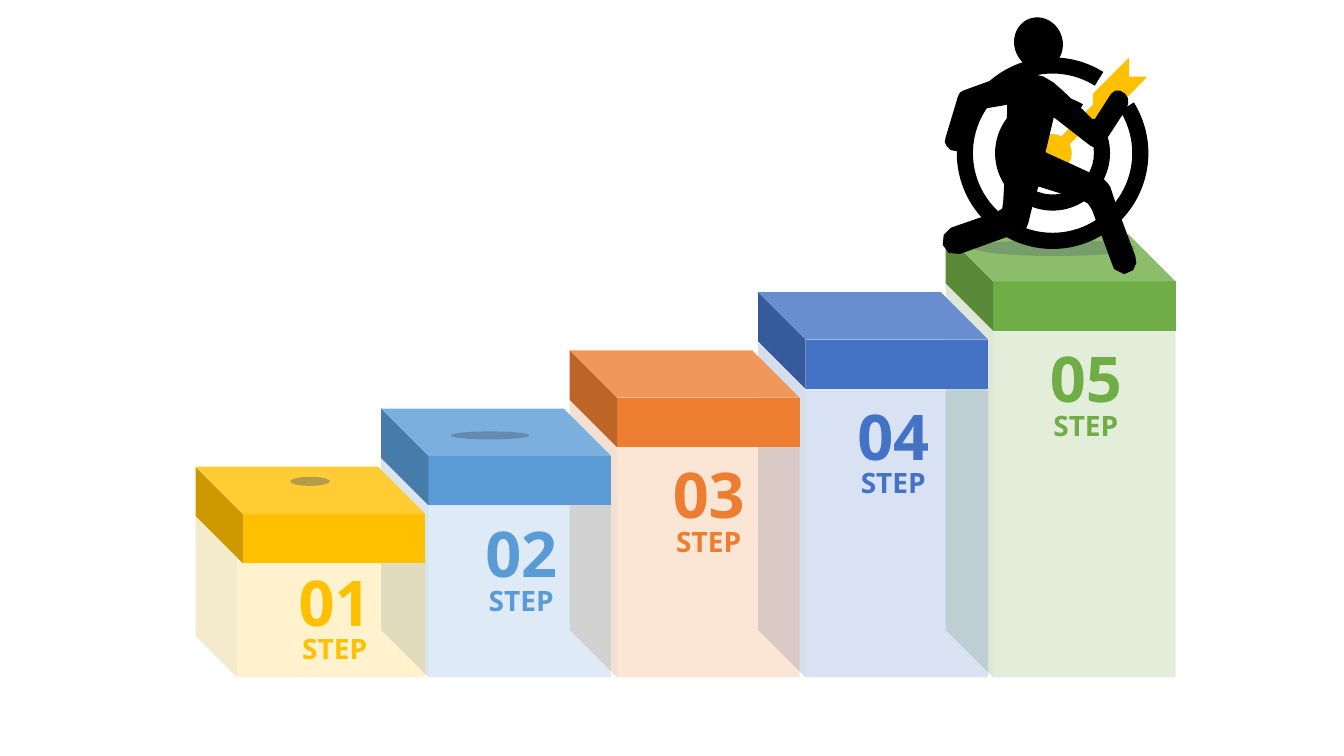
"""Build a slide of five rising steps with a runner and a target on top."""
from lxml.etree import SubElement
from pptx import Presentation
from pptx.dml.color import RGBColor
from pptx.enum.shapes import MSO_SHAPE
from pptx.enum.text import MSO_AUTO_SIZE, PP_ALIGN
from pptx.oxml.ns import qn
from pptx.util import Inches, Pt

COLORS = {
    "gold": "FFC000",
    "sky": "5B9BD5",
    "orange": "ED7D31",
    "blue": "4472C4",
    "green": "70AD47",
    "shade": "44546A",
    "black": "000000",
}
FONT = "Open Sans"
BLOCK_WIDTH = 2.28
CAP_HEIGHT = 0.96
CAP_DEPTH = 0.47
FIRST_CAP_TOP = 4.63
CAP_RISE = 0.577
COLUMN_BOTTOM = 6.72
TARGET_CENTER = (10.44, 1.52)

# color, block left, column top, column depth, label left, label top
STEPS = [
    ("gold", 1.94, 5.13, 0.41, 2.67, 5.54),
    ("sky", 3.78, 4.52, 0.47, 4.52, 5.06),
    ("orange", 5.65, 3.95, 0.47, 6.38, 4.47),
    ("blue", 7.52, 3.41, 0.47, 8.21, 3.89),
    ("green", 9.38, 2.82, 0.47, 10.12, 3.32),
]
DART = [
    (11.2, 0.57), (11.2, 0.76), (11.38, 0.76), (11.04, 1.11), (10.92, 1.12),
    (10.61, 1.43), (10.53, 1.35), (10.84, 1.04), (10.84, 0.93),
]
RUNNER = [
    (9.99, 1.04), (9.81, 1.07), (9.71, 1.09), (9.67, 1.1), (9.65, 1.14),
    (9.56, 1.44), (9.53, 1.49), (9.49, 1.5), (9.43, 1.49), (9.39, 1.45),
    (9.37, 1.41), (9.38, 1.36), (9.5, 0.96), (9.52, 0.92), (9.55, 0.9),
    (10.02, 0.73), (10.19, 0.72), (10.35, 0.76), (10.45, 0.82), (10.53, 0.89),
    (10.72, 1.07), (10.83, 1.18), (10.86, 1.18), (11.02, 0.93), (11.06, 0.9),
    (11.11, 0.9), (11.16, 0.93), (11.19, 0.98), (11.19, 1.03), (11.17, 1.08),
    (11.08, 1.22), (10.93, 1.45), (10.88, 1.47), (10.82, 1.45), (10.46, 1.17),
    (10.45, 1.17), (10.37, 1.51), (10.41, 1.53), (10.87, 1.74), (10.94, 1.77),
    (10.98, 1.81), (11.01, 1.85), (11.08, 2.06), (11.26, 2.54), (11.27, 2.61),
    (11.24, 2.68), (11.15, 2.72), (11.05, 2.67), (11.03, 2.62), (10.83, 2.08),
    (10.79, 2.02), (10.74, 1.99), (10.3, 1.85), (10.25, 2), (10.2, 2.21),
    (10.18, 2.26), (10.13, 2.3), (9.52, 2.52), (9.41, 2.51), (9.35, 2.43),
    (9.36, 2.33), (9.43, 2.26), (9.89, 2.1), (9.94, 2.07), (9.95, 2),
    (9.98, 1.47),
]


class StepSlide:
    """Hold the slide and its style, and add each kind of element."""

    def __init__(self, slide):
        """Start drawing on the given slide."""
        self.slide = slide

    def paint(self, shape, color, opacity=100):
        """Give a shape a flat fill without line or shadow."""
        shape.shadow.inherit = False
        shape.line.fill.background()
        shape.fill.solid()
        shape.fill.fore_color.rgb = RGBColor.from_string(COLORS[color])
        if opacity < 100:
            value = shape.element.spPr.find(f"{qn('a:solidFill')}/{qn('a:srgbClr')}")
            SubElement(value, qn("a:alpha")).set("val", str(opacity * 1000))

    def preset(self, kind, box, color, opacity=100, parent=None):
        """Add a painted preset shape to the slide or to a group."""
        shapes = (parent or self.slide).shapes
        shape = shapes.add_shape(kind, *(Inches(length) for length in box))
        self.paint(shape, color, opacity)
        return shape

    def cube(self, left, top, height, depth, color, opacity=100):
        """Add a block whose side face is on the left."""
        box = (left, top, BLOCK_WIDTH, height)
        shape = self.preset(MSO_SHAPE.CUBE, box, color, opacity)
        shape.adjustments[0] = depth / min(BLOCK_WIDTH, height)
        shape.element.spPr.xfrm.set("flipH", "1")

    def disc(self, center, radius, color, parent):
        """Add a circle around a center."""
        box = (center[0] - radius, center[1] - radius, 2 * radius, 2 * radius)
        self.preset(MSO_SHAPE.OVAL, box, color, parent=parent)

    def open_ring(self, center, radius, thickness, parent):
        """Add a ring with a gap at the upper right."""
        box = (center[0] - radius, center[1] - radius, 2 * radius, 2 * radius)
        shape = self.preset(MSO_SHAPE.BLOCK_ARC, box, "black", parent=parent)
        for index, degrees in enumerate((328, 302)):
            shape.adjustments[index] = degrees * 0.6
        shape.adjustments[2] = thickness / (2 * radius)

    def outline(self, points, color, parent):
        """Add a closed freeform through the points."""
        corners = [(Inches(x), Inches(y)) for x, y in points]
        builder = parent.shapes.build_freeform(*corners[0])
        builder.add_line_segments(corners[1:], close=True)
        self.paint(builder.convert_to_shape(), color)

    def label(self, text, left, top, height, size, color):
        """Add a bold centered line of text."""
        shape = self.slide.shapes.add_textbox(
            Inches(left), Inches(top), Inches(1.3), Inches(height))
        text_frame = shape.text_frame
        text_frame.word_wrap = True
        text_frame.auto_size = MSO_AUTO_SIZE.SHAPE_TO_FIT_TEXT
        text_frame.text = text
        paragraph = text_frame.paragraphs[0]
        paragraph.alignment = PP_ALIGN.CENTER
        font = paragraph.runs[0].font
        font.name, font.size, font.bold = FONT, Pt(size), True
        font.color.rgb = RGBColor.from_string(COLORS[color])

    def target(self):
        """Add the target with its dart and floor shadow."""
        group = self.slide.shapes.add_group_shape()
        self.preset(MSO_SHAPE.OVAL, (9.66, 2.38, 1.6, 0.16), "shade", 30, group)
        self.open_ring(TARGET_CENTER, 0.95, 0.16, group)
        self.open_ring(TARGET_CENTER, 0.57, 0.16, group)
        self.disc(TARGET_CENTER, 0.19, "gold", group)
        self.outline(DART, "gold", group)

    def runner(self):
        """Add the running figure."""
        group = self.slide.shapes.add_group_shape()
        self.outline(RUNNER, "black", group)
        head = self.preset(MSO_SHAPE.OVAL, (10.06, 0.17, 0.48, 0.52), "black", parent=group)
        head.rotation = 340.1


def main():
    """Build and save the presentation."""
    presentation = Presentation()
    presentation.slide_width, presentation.slide_height = Inches(13.33), Inches(7.5)
    page = StepSlide(presentation.slides.add_slide(presentation.slide_layouts[6]))
    for color, left, top, depth, _, _ in reversed(STEPS):
        page.cube(left, top, COLUMN_BOTTOM - top, depth, color, 20)
    for index, (color, left, *_) in enumerate(STEPS):
        page.cube(left, FIRST_CAP_TOP - index * CAP_RISE, CAP_HEIGHT, CAP_DEPTH, color)
    page.target()
    for number, (color, _, _, _, left, top) in enumerate(STEPS, 1):
        page.label(f"{number:02}", left, top, 0.86, 45, color)
        page.label("STEP", left, top + 0.68, 0.44, 20, color)
    page.preset(MSO_SHAPE.OVAL, (4.47, 4.28, 0.78, 0.08), "shade", 40)
    page.runner()
    page.preset(MSO_SHAPE.OVAL, (2.88, 4.73, 0.39, 0.09), "shade", 40)
    presentation.save("out.pptx")


main()
